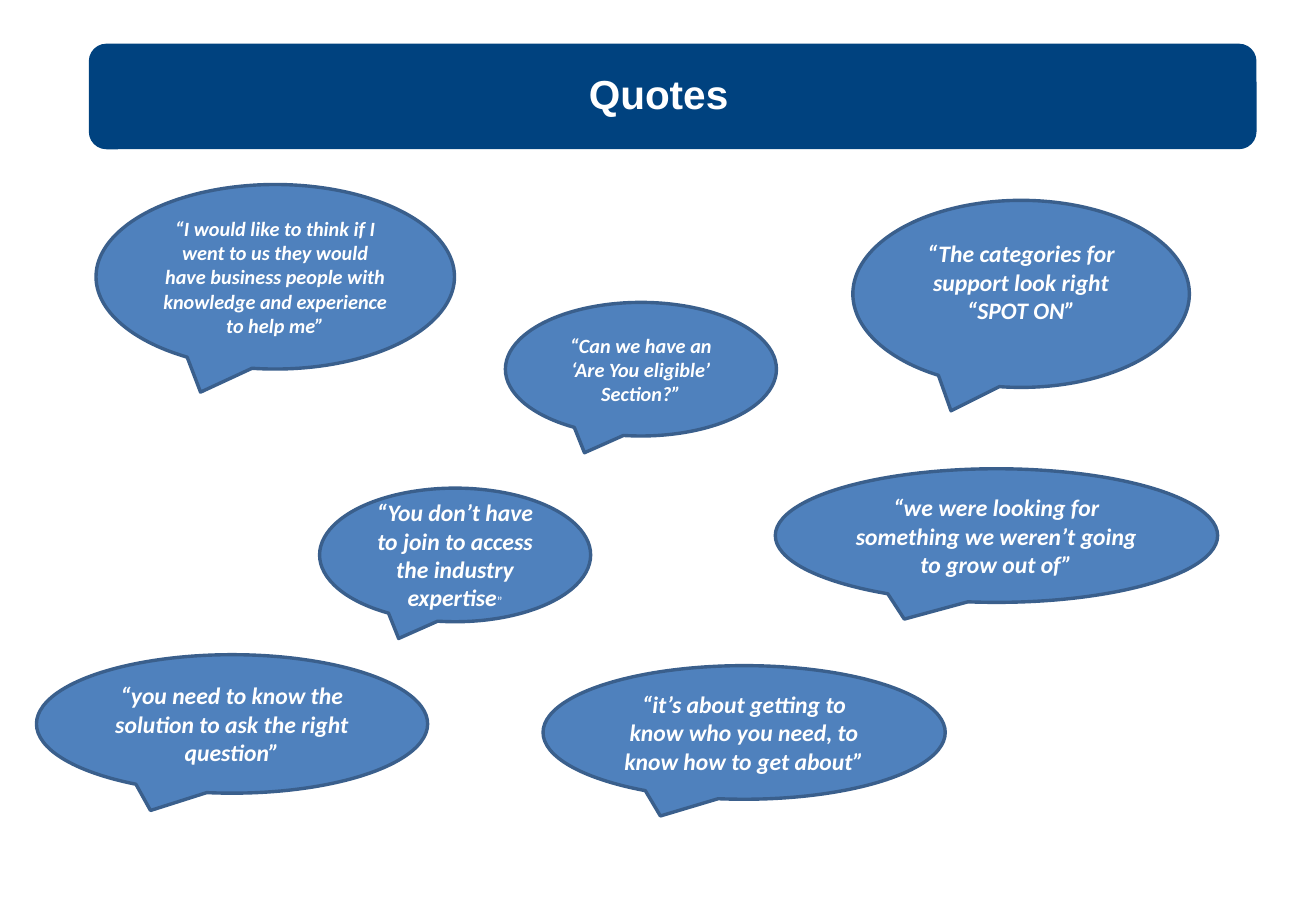
"""Builds a slide of customer quotes in speech bubbles under a title banner."""
from pptx import Presentation
from pptx import util as u
from pptx.dml.color import RGBColor
from pptx.enum import shapes, text

COLOURS = {"banner": "00427F", "bubble": "4F81BD", "outline": "3A5F8C", "text": "FFFFFF"}
TITLE_FONT = {"name": "Arial", "size": u.Pt(24), "bold": True, "italic": False}
QUOTE_FONT = {"name": "Calibri", "bold": True, "italic": True}
CLOSING_FONT = {"name": "Calibri", "size": u.Pt(8), "bold": False, "italic": False}

QUOTES = [
    ((299.5, 179.3, 160.6, 79.2), 12, "“Can we have an ‘Are You eligible’\nSection?”"),
    ((321.8, 394.6, 238.3, 79.2), 14,
     "“it’s about getting to know who you need, to know how to get about”"),
    ((505.4, 118.8, 199.4, 110.9), 14, "“The categories for support look right “SPOT ON”"),
    ((459.4, 277.9, 262.1, 79.2), 14,
     "“we were looking for something we weren’t going to grow out of”"),
    ((189.4, 289.4, 160.6, 79.2), 14,
     "“You don’t have to join to access the industry expertise"),
    ((21.6, 388.1, 231.8, 82.1), 14,
     "“you need to know the solution to ask the right question”"),
    ((56.9, 109.4, 212.4, 109.4), 12,
     "“I would like to think if I went to us they would have business people "
     "with knowledge and experience to help me”"),
]


class QuoteSlide:
    """Holds the current slide and its shared style."""

    def __init__(self, presentation):
        self.slide = presentation.slides.add_slide(presentation.slide_layouts[5])

    def apply(self, target, values):
        """Sets each attribute named in the dict."""
        for name, value in values.items():
            setattr(target, name, value)

    def colour(self, name):
        """Returns a named colour."""
        return RGBColor.from_string(COLOURS[name])

    def style_font(self, font, values):
        """Formats a font in the text colour."""
        self.apply(font, values)
        font.color.rgb = self.colour("text")

    def filled_shape(self, kind, box, fill):
        """Adds a flat shape without an outline."""
        shape = self.slide.shapes.add_shape(kind, *map(u.Pt, box))
        shape.shadow.inherit = False
        shape.fill.solid()
        shape.fill.fore_color.rgb = self.colour(fill)
        shape.line.fill.background()
        return shape

    def title(self, wording, box, banner_box):
        """Places the title over its rounded banner."""
        banner = self.filled_shape(shapes.MSO_SHAPE.ROUNDED_RECTANGLE, banner_box, "banner")
        title = self.slide.shapes.title
        title.element.addprevious(banner.element)
        self.apply(title, dict(zip(("left", "top", "width", "height"), map(u.Pt, box))))
        title.text_frame.text = wording
        self.apply(title.text_frame, {"vertical_anchor": text.MSO_ANCHOR.TOP,
                                      "auto_size": text.MSO_AUTO_SIZE.NONE,
                                      "word_wrap": True})
        paragraph = title.text_frame.paragraphs[0]
        self.apply(paragraph, {"alignment": text.PP_ALIGN.CENTER, "space_before": u.Pt(4.8)})
        self.style_font(paragraph.runs[0].font, TITLE_FONT)

    def bubble(self, box, size, wording):
        """Adds a speech bubble with a centred quote."""
        bubble = self.filled_shape(shapes.MSO_SHAPE.OVAL_CALLOUT, box, "bubble")
        bubble.line.color.rgb = self.colour("outline")
        bubble.line.width = u.Pt(2)
        frame = bubble.text_frame
        frame.text = wording
        self.apply(frame, {"word_wrap": True, "vertical_anchor": text.MSO_ANCHOR.MIDDLE})
        for paragraph in frame.paragraphs:
            paragraph.alignment = text.PP_ALIGN.CENTER
            for run in paragraph.runs:
                self.style_font(run.font, {**QUOTE_FONT, "size": u.Pt(size)})
        return frame


def main():
    """Builds and saves the presentation."""
    presentation = Presentation()
    presentation.slide_width, presentation.slide_height = u.Pt(779.76), u.Pt(540)
    page = QuoteSlide(presentation)
    page.title("Quotes", (78.5, 37.4, 623.5, 45.4), (52.6, 25.9, 691.9, 62.6))
    for box, size, wording in QUOTES:
        frame = page.bubble(box, size, wording)
        if wording.endswith("ON”"):
            frame.margin_bottom = u.Pt(18)
        elif not wording.endswith("”"):
            closing = frame.paragraphs[0].add_run()
            closing.text = "”"
            page.style_font(closing.font, CLOSING_FONT)
    presentation.save("out.pptx")


if __name__ == "__main__":
    main()
